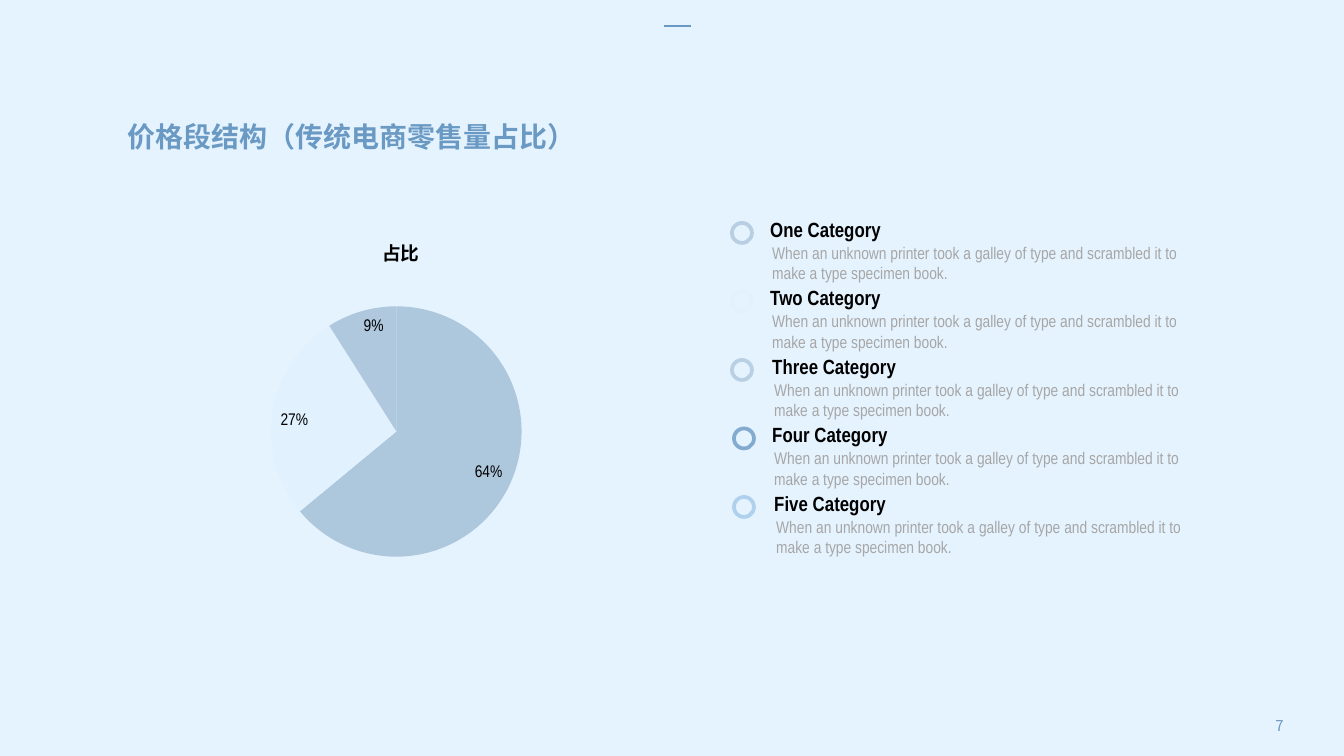
import pptx
import pptx.chart.data
import pptx.dml.color
import pptx.enum.chart
import pptx.enum.shapes
import pptx.enum.text
import pptx.oxml
import pptx.oxml.ns
import pptx.util

PX = 914400 / 134.4
LATIN, CJK = "Arial Narrow", "Noto Sans CJK SC"
ACCENT, BLACK, GRAY = "6A9AC4", "000000", "A6A6A6"
ALIGN = pptx.enum.text.PP_ALIGN
MIDDLE = pptx.enum.text.MSO_ANCHOR.MIDDLE

TITLE = "价格段结构（传统电商零售量占比）"
PAGE = "7"
SHARE_TITLE = "占比"
SHARES = [("1", 64, "ADC7DD"), ("2", 27, "E1F1FE"), ("3", 9, "AFC8DE")]
DETAIL = ("When an unknown printer took a galley of type and scrambled it to "
          "make a type specimen book.")
CATEGORIES = [
    ("One Category", "ADC7DD"),
    ("Two Category", "E1F1FE"),
    ("Three Category", "AFC8DE"),
    ("Four Category", ACCENT),
    ("Five Category", "A3C9E9"),
]
ROW_TOP, ROW_PITCH = 211, 68.5


def px(*values):
    return [pptx.util.Emu(round(v * PX)) for v in values]


def rgb(color):
    return pptx.dml.color.RGBColor.from_string(color)


def style(font, name, size, color, bold=False):
    font.name, font.size, font.bold = name, pptx.util.Pt(size), bold
    font.color.rgb = rgb(color)


def write(s, text, name, size, color, bold=False, align=ALIGN.LEFT, anchor=None):
    """Put one styled run into a shape and return its paragraph."""
    tf = s.text_frame
    tf.word_wrap = True
    tf.auto_size = pptx.enum.text.MSO_AUTO_SIZE.NONE
    if anchor is not None:
        tf.vertical_anchor = anchor
    p = tf.paragraphs[0]
    p.alignment = align
    r = p.add_run()
    r.text = text
    style(r.font, name, size, color, bold)
    if name == CJK:
        set_east_asian(r.font, r._r.get_or_add_rPr())
    return p


def set_east_asian(font, props):
    ea = pptx.oxml.parse_xml(
        f'<a:ea {pptx.oxml.ns.nsdecls("a")} typeface="{CJK}"/>')
    props.find(pptx.oxml.ns.qn("a:latin")).addnext(ea)


def add_text(slide, box, *args, **kwargs):
    return write(slide.shapes.add_textbox(*px(*box)), *args, **kwargs)


def add_ring(slide, x, y, color):
    s = slide.shapes.add_shape(
        pptx.enum.shapes.MSO_SHAPE.OVAL, *px(x, y, 20, 20))
    s.shadow.inherit = False
    s.fill.background()
    s.line.color.rgb = rgb(color)
    s.line.width = pptx.util.Pt(2)
    clr = s.line._ln.find(".//" + pptx.oxml.ns.qn("a:srgbClr"))
    clr.append(pptx.oxml.parse_xml(
        f'<a:alpha {pptx.oxml.ns.nsdecls("a")} val="80000"/>'))


def layout_xml(x, y, w=None, h=None):
    """Manual chart layout, in fractions of the chart area."""
    target = '<c:layoutTarget val="inner"/>' if w else ""
    size = f'<c:w val="{w}"/><c:h val="{h}"/>' if w else ""
    return pptx.oxml.parse_xml(
        f'<c:layout {pptx.oxml.ns.nsdecls("c")}><c:manualLayout>{target}'
        f'<c:xMode val="edge"/><c:yMode val="edge"/>'
        f'<c:x val="{x}"/><c:y val="{y}"/>{size}</c:manualLayout></c:layout>')


def set_layout(parent, index, layout):
    for old in parent.findall(pptx.oxml.ns.qn("c:layout")):
        parent.remove(old)
    parent.insert(index, layout)


def add_share_chart(slide):
    data = pptx.chart.data.CategoryChartData()
    data.categories = [name for name, _, _ in SHARES]
    data.add_series(SHARE_TITLE, [value for _, value, _ in SHARES])
    chart = slide.shapes.add_chart(
        pptx.enum.chart.XL_CHART_TYPE.PIE, *px(110, 212, 573, 363), data).chart
    style(chart.font, LATIN, 9, BLACK)
    chart.has_legend = False

    chart.has_title = True
    r = chart.chart_title.text_frame.paragraphs[0].add_run()
    r.text = SHARE_TITLE
    style(r.font, LATIN, 10, BLACK, bold=True)
    set_east_asian(r.font, r._r.get_or_add_rPr())
    set_layout(chart.chart_title._element, 1, layout_xml(0.47, 0.06))
    set_layout(chart._chartSpace.chart.plotArea, 0,
               layout_xml(0.28, 0.26, 0.44, 0.69))

    plot = chart.plots[0]
    plot.vary_by_categories = True
    for i, (_, _, color) in enumerate(SHARES):
        fmt = plot.series[0].points[i].format
        fmt.fill.solid()
        fmt.fill.fore_color.rgb = rgb(color)
        fmt.line.fill.background()
    plot.has_data_labels = True
    labels = plot.data_labels
    labels.show_percentage, labels.show_value = True, False
    labels.number_format, labels.number_format_is_linked = "0%", False
    labels.position = pptx.enum.chart.XL_LABEL_POSITION.INSIDE_END
    style(labels.font, LATIN, 9, BLACK)


def main():
    prs = pptx.Presentation()
    prs.slide_width, prs.slide_height = px(1344, 756)
    slide = prs.slides.add_slide(prs.slide_layouts[5])
    slide.background.fill.solid()
    slide.background.fill.fore_color.rgb = rgb("E5F3FE")

    title = slide.shapes.title
    title.left, title.top, title.width, title.height = px(114, 113, 632, 46)
    p = write(title, TITLE, CJK, 15, ACCENT, bold=True, anchor=MIDDLE)
    p.space_after = pptx.util.Pt(3)

    dash = slide.shapes.add_connector(
        pptx.enum.shapes.MSO_CONNECTOR.STRAIGHT, *px(664, 26, 691, 26))
    dash.line.color.rgb = rgb(ACCENT)
    dash.line.width = pptx.util.Pt(1.5)
    dash._element.spPr.append(pptx.oxml.parse_xml(
        f'<a:effectLst {pptx.oxml.ns.nsdecls("a")}/>'))

    add_share_chart(slide)

    for i, (name, color) in enumerate(CATEGORIES):
        y = ROW_TOP + ROW_PITCH * i
        x = 757 + i // 2 * 2
        add_ring(slide, 732 + i // 3 * 2, y + 12, color)
        add_text(slide, (x + 2, y + 25, 431, 46), DETAIL, LATIN, 9, GRAY,
                 align=ALIGN.JUSTIFY)
        add_text(slide, (x, y, 257, 36), name, LATIN, 11, BLACK, bold=True,
                 align=ALIGN.JUSTIFY, anchor=MIDDLE)

    add_text(slide, (1216, 710, 81, 30), PAGE, CJK, 8, ACCENT,
             align=ALIGN.RIGHT)
    prs.save("out.pptx")


if __name__ == "__main__":
    main()
